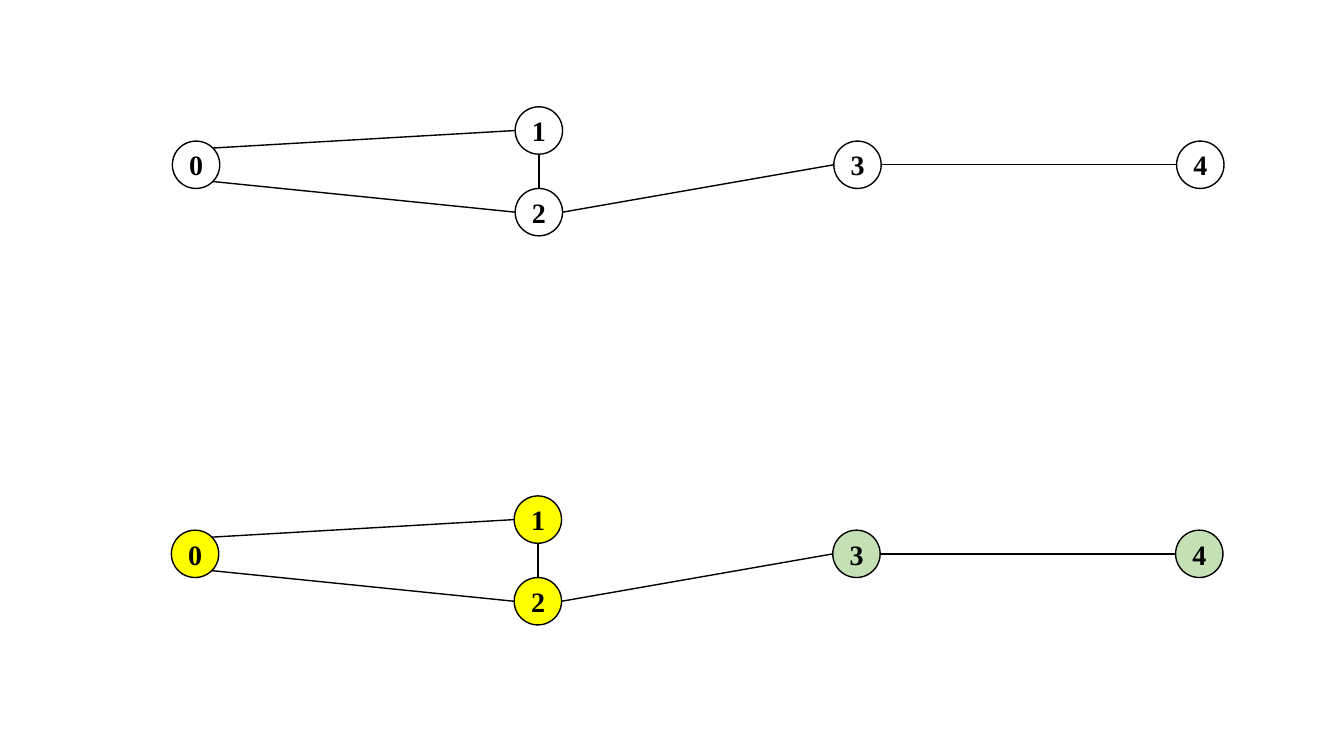
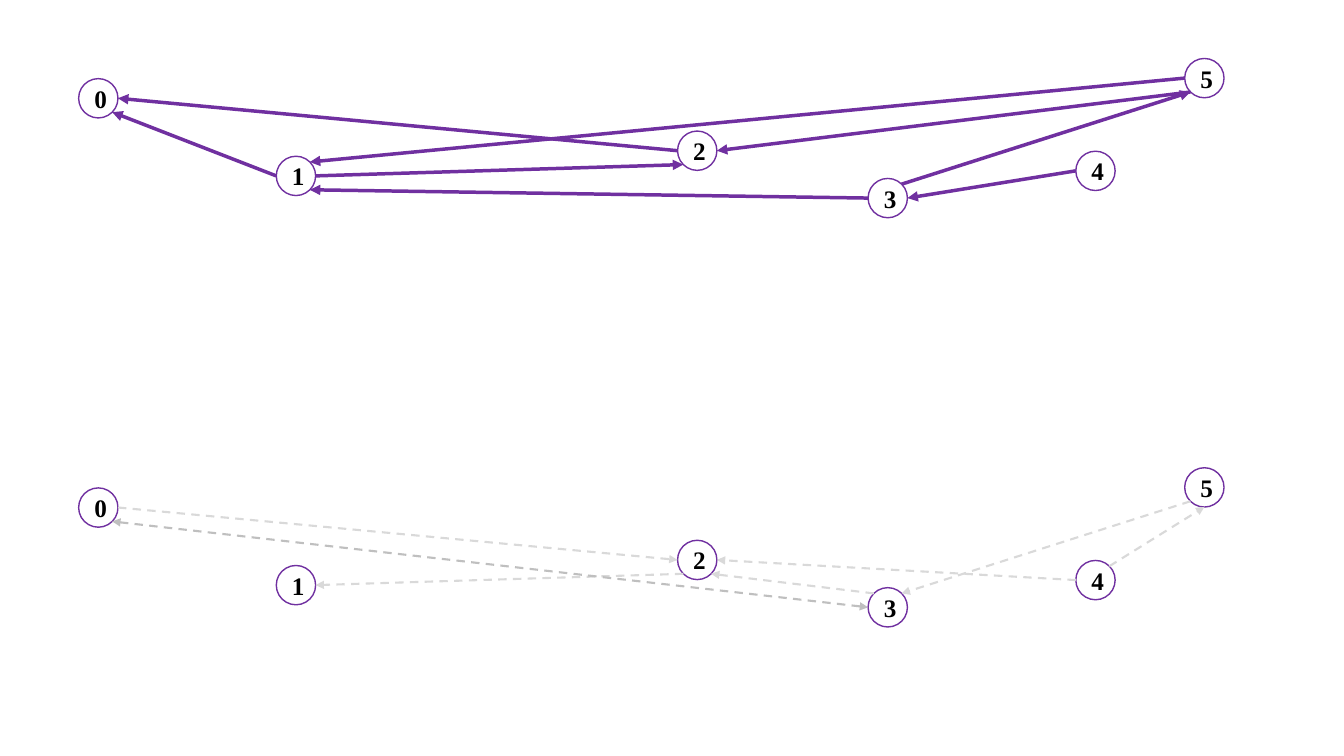
from lxml.etree import SubElement
from math import sqrt
from pptx import Presentation
from pptx.dml.color import RGBColor
from pptx.enum.dml import MSO_LINE
from pptx.enum.shapes import MSO_CONNECTOR, MSO_SHAPE
from pptx.enum.text import MSO_ANCHOR, PP_ALIGN
from pptx.oxml.ns import qn
from pptx.util import Emu, Pt

PX = 9144  # 100 px to the inch
FONT = "Times New Roman"
COLORS = {
    "black": "000000",
    "white": "FFFFFF",
    "yellow": "FFFF00",
    "green": "C5E0B4",
    "purple": "7030A0",
    "pale": "D9D9D9",
    "gray": "BFBFBF",
}

# Connection sites of an ellipse: index, then place as a share of its box
NEAR = (1 - sqrt(0.5)) / 2
FAR = 1 - NEAR
SITES = {
    "top": (0, 0.5, 0),
    "top left": (1, NEAR, NEAR),
    "left": (2, 0, 0.5),
    "bottom left": (3, NEAR, FAR),
    "bottom": (4, 0.5, 1),
    "bottom right": (5, FAR, FAR),
    "right": (6, 1, 0.5),
    "top right": (7, FAR, NEAR),
}

# Graphs: left and top of each node, then edges as node, site, node, site
PLAIN_NODES = {"1": (511, 106), "4": (1167, 140), "3": (827, 140),
               "2": (511, 187), "0": (171, 140)}
PLAIN_EDGES = [
    ("1", "left", "0", "top right"),
    ("1", "bottom", "2", "top"),
    ("0", "bottom right", "2", "left"),
    ("2", "right", "3", "left"),
    ("3", "right", "4", "left"),
]
GROUP_FILLS = {"0": "yellow", "1": "yellow", "2": "yellow",
               "3": "green", "4": "green"}

DIRECTED_NODES = {"1": (274, 155), "0": (78, 78), "5": (1175, 58),
                  "2": (672, 130), "3": (861, 177), "4": (1067, 150)}
SOLID_EDGES = [
    ("2", "left", "0", "right"),
    ("1", "left", "0", "bottom right"),
    ("5", "left", "1", "top right"),
    ("4", "left", "3", "right"),
    ("3", "top right", "5", "bottom left"),
    ("1", "right", "2", "bottom left"),
    ("5", "bottom left", "2", "right"),
    ("3", "left", "1", "bottom right"),
]
DASHED_EDGES = [
    ("0", "right", "2", "left"),
    ("5", "bottom left", "3", "top right"),
    ("3", "top left", "2", "bottom right"),
    ("2", "bottom left", "1", "right"),
    ("4", "left", "2", "right"),
    ("4", "top right", "5", "bottom"),
]
TWO_WAY_EDGES = [("0", "bottom right", "3", "left")]


def px(value):
    return Emu(round(value) * PX)


def color(name):
    return RGBColor.from_string(COLORS[name])


def add_node(page, label, left, top, size, font_size, outline, fill):
    node = page.shapes.add_shape(
        MSO_SHAPE.OVAL, px(left), px(top), px(size), px(size))
    node.shadow.inherit = False
    if fill:
        node.fill.solid()
        node.fill.fore_color.rgb = color(fill)
    else:
        node.fill.background()
    node.line.color.rgb = color(outline)
    node.line.width = Pt(1)
    frame = node.text_frame
    frame.text = label
    frame.vertical_anchor = MSO_ANCHOR.MIDDLE
    para = frame.paragraphs[0]
    para.alignment = PP_ALIGN.CENTER
    font = para.runs[0].font
    font.name, font.size, font.bold = FONT, Pt(font_size), True
    font.color.rgb = color("black")
    return node


def add_nodes(page, places, offset, size, font_size, outline, fills):
    """Draw the nodes of one graph and return them by label."""
    return {
        label: add_node(page, label, left + offset[0], top + offset[1],
                        size, font_size, outline, fills.get(label))
        for label, (left, top) in places.items()
    }


def site_point(node, site):
    _, across, down = SITES[site]
    return (Emu(round(node.left + across * node.width)),
            Emu(round(node.top + down * node.height)))


def add_edge(page, nodes, edge, line_color, width, dashed, arrows):
    start, start_site, end, end_site = edge
    connector = page.shapes.add_connector(
        MSO_CONNECTOR.STRAIGHT,
        *site_point(nodes[start], start_site),
        *site_point(nodes[end], end_site))
    line = connector.line
    line.color.rgb = color(line_color)
    line.width = Pt(width)
    if dashed:
        line.dash_style = MSO_LINE.DASH
    element = connector._element
    # Arrowheads and no shadow
    for arrow in arrows:
        SubElement(element.spPr.find(qn("a:ln")), qn(f"a:{arrow}"),
                   type="triangle")
    SubElement(element.spPr, qn("a:effectLst"))
    # Join both ends to their nodes; ellipses have eight sites
    joints = element.find(".//" + qn("p:cNvCxnSpPr"))
    for tag, label, site in (("stCxn", start, start_site),
                             ("endCxn", end, end_site)):
        SubElement(joints, qn(f"a:{tag}"), id=str(nodes[label].shape_id),
                   idx=str(SITES[site][0]))


def add_edges(page, nodes, edges, line_color, width, dashed=False, arrows=()):
    for edge in edges:
        add_edge(page, nodes, edge, line_color, width, dashed, arrows)


def build_undirected(page):
    white_fills = dict.fromkeys(PLAIN_NODES, "white")
    for offset, fills in (((0, 0), white_fills), ((-1, 386), GROUP_FILLS)):
        nodes = add_nodes(page, PLAIN_NODES, offset, 47, 20, "black", fills)
        add_edges(page, nodes, PLAIN_EDGES, "black", 1)


def build_directed(page):
    upper, lower = (
        add_nodes(page, DIRECTED_NODES, (0, down), 39, 18, "purple", {})
        for down in (0, 406))
    add_edges(page, upper, SOLID_EDGES, "purple", 2.5, arrows=["tailEnd"])
    add_edges(page, lower, DASHED_EDGES, "pale", 1.5, True, ["tailEnd"])
    add_edges(page, lower, TWO_WAY_EDGES, "gray", 1.5, True,
              ["headEnd", "tailEnd"])


def main():
    deck = Presentation()
    deck.slide_width, deck.slide_height = px(1333), px(750)
    for build in (build_undirected, build_directed):
        build(deck.slides.add_slide(deck.slide_layouts[6]))
    deck.save("out.pptx")


if __name__ == "__main__":
    main()
